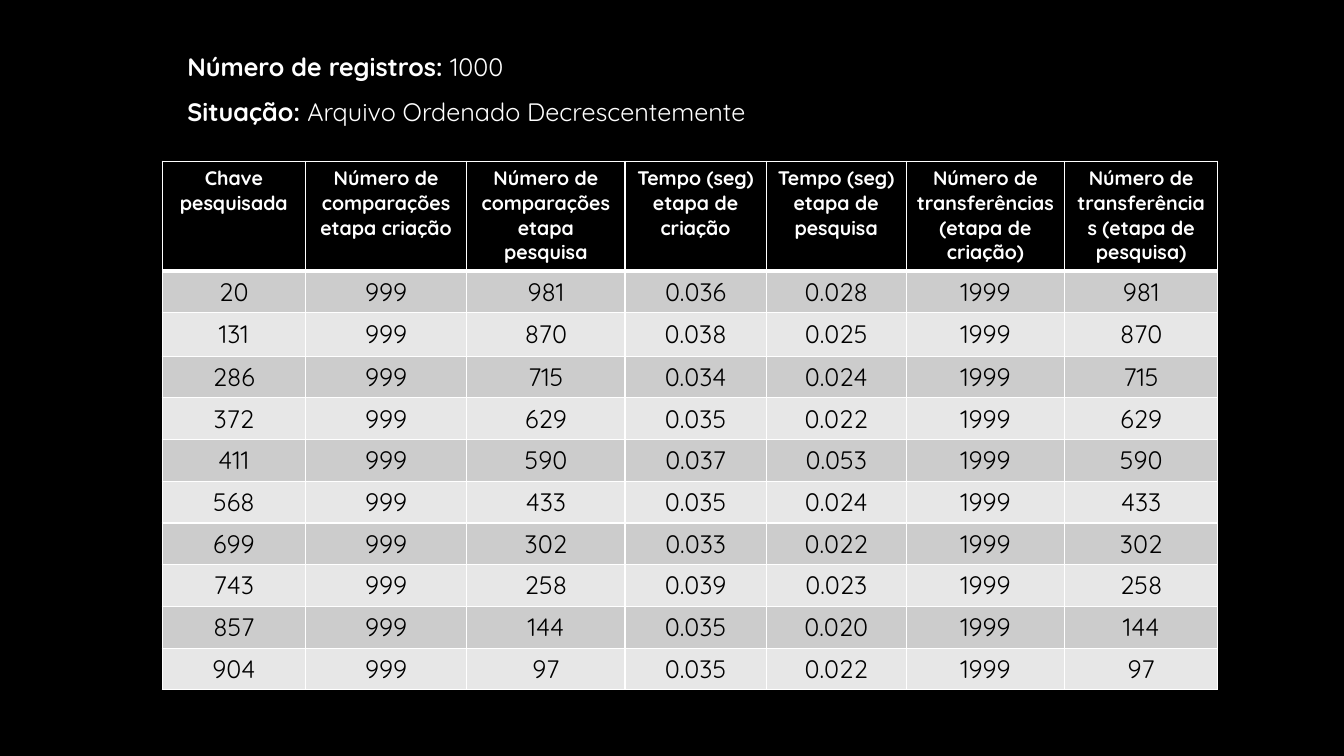
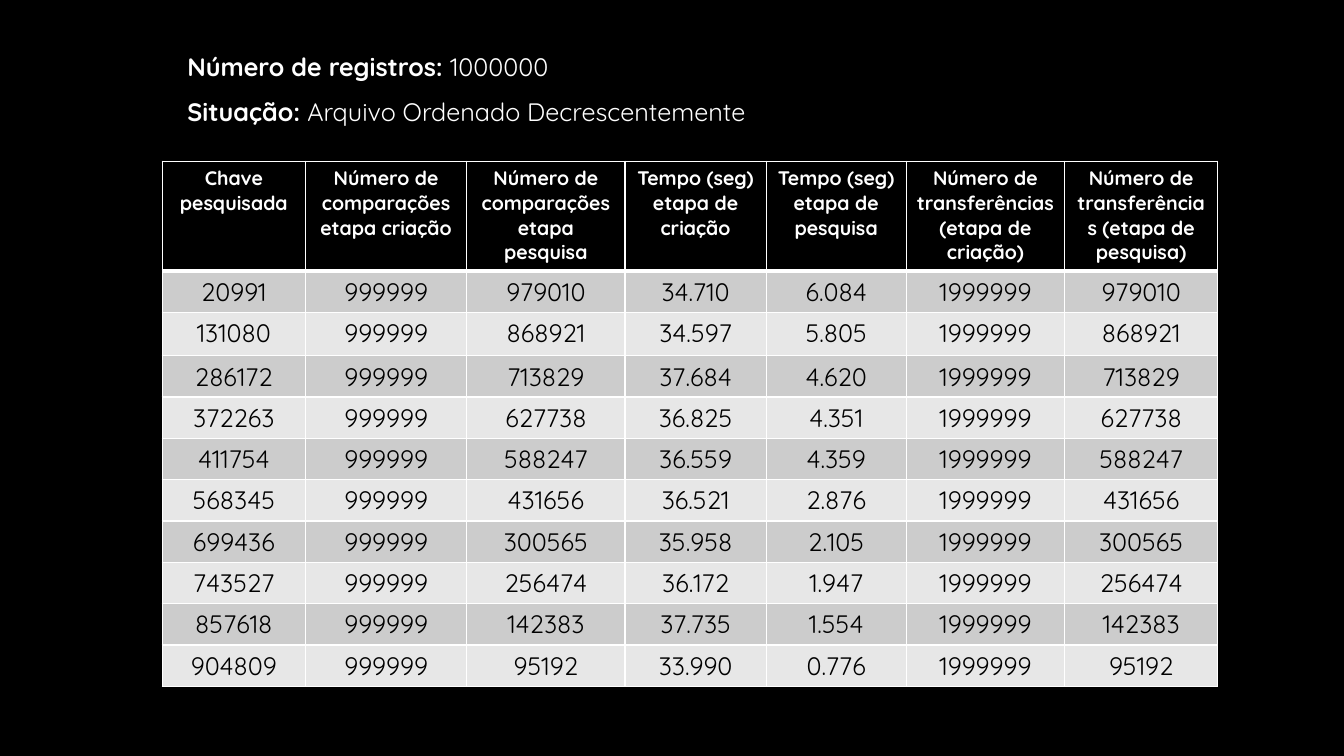
"""Build two slides of search results for files sorted in descending order."""
from lxml.etree import SubElement
from pptx import Presentation
from pptx.dml.color import RGBColor
from pptx.enum.text import MSO_AUTO_SIZE, PP_ALIGN
from pptx.oxml.ns import qn
from pptx.util import Pt

PX = 9144
FONT = "Quicksand"
COLORS = {"black": "000000", "white": "FFFFFF", "dark_band": "CCCCCC", "light_band": "E7E7E7"}

COLUMN_WIDTHS = [142, 160, 157, 140, 139, 157, 152]
ROW_HEIGHTS = [109, 41, 43] + [41] * 8
HEADERS = [
    "Chave pesquisada",
    "Número de comparações etapa criação",
    "Número de comparações etapa pesquisa",
    "Tempo (seg) etapa de criação",
    "Tempo (seg) etapa de pesquisa",
    "Número de transferências (etapa de criação)",
    "Número de transferências (etapa de pesquisa)",
]

# Each result: key, search comparisons, creation time, search time.
RUNS = [
    {
        "records": "1000", "comparisons": "999", "transfers": "1999",
        "results": [
            ("20", "981", "0.036", "0.028"),
            ("131", "870", "0.038", "0.025"),
            ("286", "715", "0.034", "0.024"),
            ("372", "629", "0.035", "0.022"),
            ("411", "590", "0.037", "0.053"),
            ("568", "433", "0.035", "0.024"),
            ("699", "302", "0.033", "0.022"),
            ("743", "258", "0.039", "0.023"),
            ("857", "144", "0.035", "0.020"),
            ("904", "97", "0.035", "0.022"),
        ],
    },
    {
        "records": "1000000", "comparisons": "999999", "transfers": "1999999",
        "results": [
            ("20991", "979010", "34.710", "6.084"),
            ("131080", "868921", "34.597", "5.805"),
            ("286172", "713829", "37.684", "4.620"),
            ("372263", "627738", "36.825", "4.351"),
            ("411754", "588247", "36.559", "4.359"),
            ("568345", "431656", "36.521", "2.876"),
            ("699436", "300565", "35.958", "2.105"),
            ("743527", "256474", "36.172", "1.947"),
            ("857618", "142383", "37.735", "1.554"),
            ("904809", "95192", "33.990", "0.776"),
        ],
    },
]


def write(para, text, size=18, color="white", bold=False):
    span = para.add_run()
    span.text = text
    span.font.name = FONT
    span.font.size = Pt(size)
    span.font.bold = bold
    span.font.color.rgb = RGBColor.from_string(COLORS[color])


def add_borders(cell, top=1, bottom=1):
    properties = cell._tc.get_or_add_tcPr()
    for side, width in (("L", 1), ("R", 1), ("T", top), ("B", bottom)):
        line = SubElement(properties, qn(f"a:ln{side}"), w=str(Pt(width)))
        fill = SubElement(line, qn("a:solidFill"))
        SubElement(fill, qn("a:srgbClr"), val=COLORS["white"])


deck = Presentation()
deck.slide_width, deck.slide_height = 1333 * PX, 750 * PX

for run in RUNS:
    page = deck.slides.add_slide(deck.slide_layouts[6])
    page.background.fill.solid()
    page.background.fill.fore_color.rgb = RGBColor.from_string(COLORS["black"])

    rows = [HEADERS]
    for key, searched, creation_time, search_time in run["results"]:
        rows.append([key, run["comparisons"], searched, creation_time,
                     search_time, run["transfers"], searched])

    table = page.shapes.add_table(
        len(rows), len(HEADERS), 161 * PX, 160 * PX,
        sum(COLUMN_WIDTHS) * PX, sum(ROW_HEIGHTS) * PX).table
    table.first_row = table.horz_banding = False
    for column, width in zip(table.columns, COLUMN_WIDTHS):
        column.width = width * PX
    for row, height in zip(table.rows, ROW_HEIGHTS):
        row.height = height * PX

    for row_index, texts in enumerate(rows):
        header = row_index == 0
        band = "black" if header else "dark_band" if row_index % 2 else "light_band"
        for column_index, text in enumerate(texts):
            cell = table.cell(row_index, column_index)
            add_borders(cell, top=3 if row_index == 1 else 1, bottom=3 if header else 1)
            cell.fill.solid()
            cell.fill.fore_color.rgb = RGBColor.from_string(COLORS[band])
            para = cell.text_frame.paragraphs[0]
            para.alignment = PP_ALIGN.CENTER
            write(para, text, size=14 if header else 18,
                  color="white" if header else "black", bold=header)

    box = page.shapes.add_textbox(176 * PX, 31 * PX, 619 * PX, 101 * PX)
    frame = box.text_frame
    frame.word_wrap = False
    frame.auto_size = MSO_AUTO_SIZE.SHAPE_TO_FIT_TEXT
    facts = [("Número de registros: ", run["records"]),
             ("Situação: ", "Arquivo Ordenado Decrescentemente")]
    for index, (label, value) in enumerate(facts):
        para = frame.add_paragraph() if index else frame.paragraphs[0]
        para.line_spacing = 1.5
        write(para, label, bold=True)
        write(para, value)

deck.save("out.pptx")
